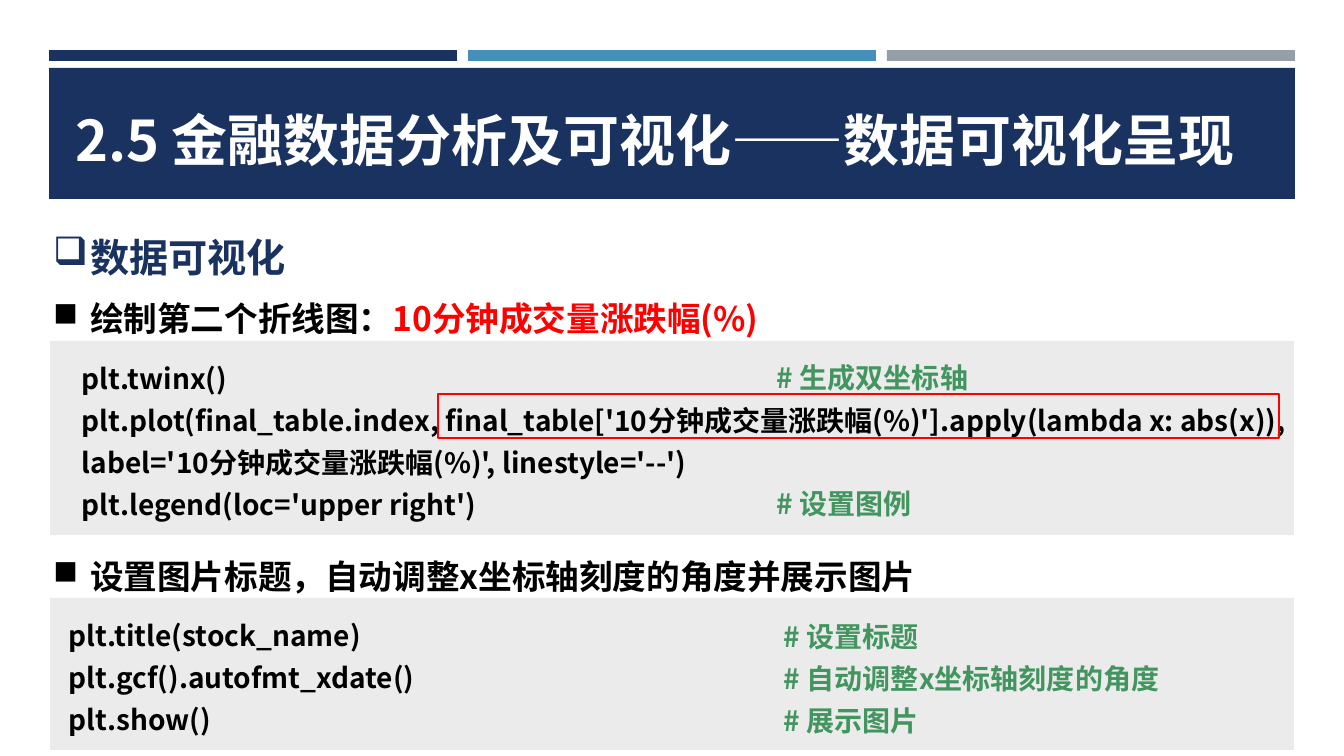
from lxml.etree import SubElement
from pptx import Presentation
from pptx.dml.color import RGBColor
from pptx.enum.shapes import MSO_SHAPE
from pptx.enum.text import MSO_ANCHOR, MSO_AUTO_SIZE, PP_ALIGN
from pptx.oxml.ns import qn
from pptx.util import Pt

FONT = "Noto Sans CJK SC"
NAVY, BLUE, GREY, PANEL = "1A3260", "4590B8", "969FA7", "EBEBEB"
BLACK, WHITE, RED, GREEN = "000000", "FFFFFF", "FF0000", "42955F"

TITLE = "2.5 金融数据分析及可视化——数据可视化呈现"
OUTLINE = [
    ("q", 28, 0, [("数据可视化", NAVY)]),
    ("n", 24, 0, [("绘制第二个折线图：", BLACK), ("10分钟成交量涨跌幅(%)", RED)]),
    ("n", 24, 142, [("设置图片标题，自动调整x坐标轴刻度的角度并展示图片", BLACK)]),
]
PLOT_CODE = [
    "plt.twinx()",
    "plt.plot(final_table.index, final_table['10分钟成交量涨跌幅(%)'].apply(lambda x: abs(x)), "
    "label='10分钟成交量涨跌幅(%)', linestyle='--')",
    "plt.legend(loc='upper right')",
]
PLOT_NOTES = ["# 生成双坐标轴", "# 设置图例"]
SHOW_CODE = ["plt.title(stock_name)", "plt.gcf().autofmt_xdate()", "plt.show()"]
SHOW_NOTES = ["# 设置标题", "# 自动调整x坐标轴刻度的角度", "# 展示图片"]
CODE_BLOCKS = [
    ((72, 348, 1255, 176), PLOT_CODE, BLACK, 0),
    ((767, 347, 432, 176), PLOT_NOTES, GREEN, 60),
    ((59, 605, 1244, 133), SHOW_CODE, BLACK, 0),
    ((774, 606, 432, 133), SHOW_NOTES, GREEN, 0),
]
PANELS = [(50, 341, 1244, 194), (50, 598, 1244, 152)]
BAR_LEFT, BAR_W, BAR_STEP = 49, 408, 419

prs = Presentation()
PX = 12192000 / 1344
prs.slide_width, prs.slide_height = 12192000, 6858000
s = prs.slides.add_slide(prs.slide_layouts[1])


def emu(box):
    return [round(v * PX) for v in box]


def color(hex_code):
    return RGBColor.from_string(hex_code)


def place(sp, box):
    sp.left, sp.top, sp.width, sp.height = emu(box)


def add_rect(box, fill=None, line=None):
    sp = s.shapes.add_shape(MSO_SHAPE.RECTANGLE, *emu(box))
    sp.shadow.inherit = False
    if fill:
        sp.fill.solid()
        sp.fill.fore_color.rgb = color(fill)
    else:
        sp.fill.background()
    if line:
        sp.line.color.rgb = color(line)
        sp.line.width = Pt(2)
    else:
        sp.line.fill.background()
    return sp


def add_run(p, text, size, ink):
    r = p.add_run()
    r.text = text
    r.font.name, r.font.size, r.font.bold = FONT, Pt(size), True
    r.font.color.rgb = color(ink)
    SubElement(r.font._element, qn("a:ea"), typeface=FONT)


def write(tf, text, size=20, ink=BLACK, spacing=Pt(30), before=0, bullet=None, first=False):
    p = tf.paragraphs[0] if first else tf.add_paragraph()
    if bullet:
        pPr = p._p.get_or_add_pPr()
        pPr.set("marL", str(round(37 * PX)))
        pPr.set("indent", str(round(-37 * PX)))
        SubElement(pPr, qn("a:buFont"), typeface="Wingdings", charset="2")
        SubElement(pPr, qn("a:buChar"), char=bullet)
    p.alignment = PP_ALIGN.LEFT
    p.line_spacing = spacing
    p.space_before, p.space_after = Pt(before), Pt(0)
    for part, part_ink in ([(text, ink)] if isinstance(text, str) else text):
        add_run(p, part, size, part_ink)


def prepare(tf, anchor=MSO_ANCHOR.TOP):
    tf.word_wrap = True
    tf.auto_size = MSO_AUTO_SIZE.NONE
    tf.vertical_anchor = anchor
    return tf


for i, bar_color in enumerate([NAVY, BLUE, GREY]):
    add_rect((BAR_LEFT + i * BAR_STEP, 50, BAR_W, 11), bar_color)
banner = add_rect((49, 68, 1246, 131), NAVY)

title, body = s.placeholders
place(title, (65, 100, 1279, 78))
write(prepare(title.text_frame, MSO_ANCHOR.MIDDLE), TITLE, size=40, ink=WHITE, spacing=1.0, first=True)
banner._element.addnext(title._element)

place(body, (43, 216, 1283, 380))
tf = prepare(body.text_frame)
for i, (bullet, size, before, parts) in enumerate(OUTLINE):
    write(tf, parts, size=size, spacing=Pt(42), before=before, bullet=bullet, first=i == 0)

for box in PANELS:
    add_rect(box, PANEL)
for box, lines, ink, gap in CODE_BLOCKS:
    tf = prepare(s.shapes.add_textbox(*emu(box)).text_frame)
    for i, line in enumerate(lines):
        write(tf, line, ink=ink, before=gap if i else 0, first=i == 0)
add_rect((438, 394, 841, 44), line=RED)

prs.save("out.pptx")
